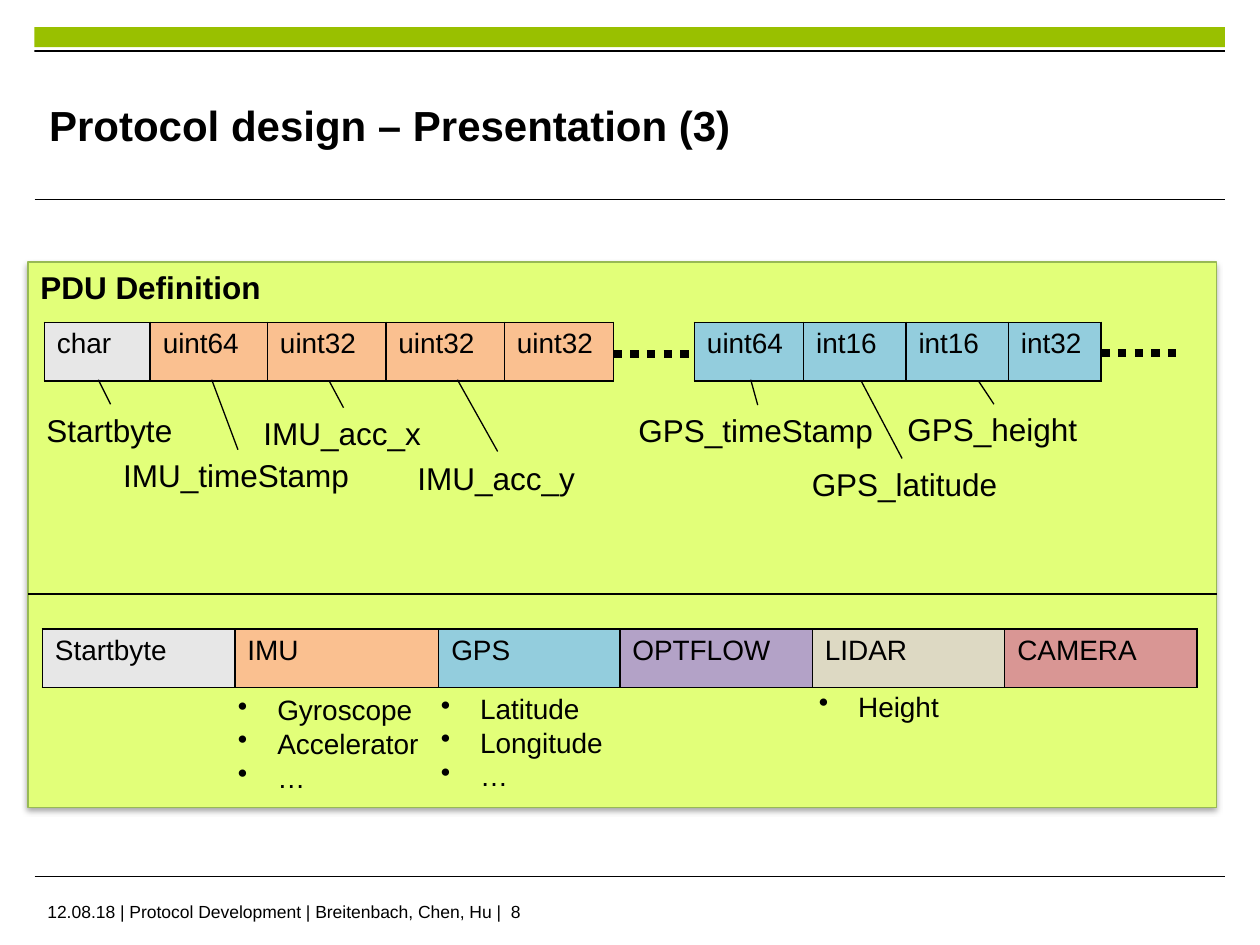
from lxml import etree
from pptx import Presentation
from pptx.dml.color import RGBColor
from pptx.enum.dml import MSO_LINE
from pptx.enum.shapes import MSO_CONNECTOR, MSO_SHAPE
from pptx.enum.text import MSO_ANCHOR, PP_ALIGN
from pptx.oxml import parse_xml
from pptx.oxml.ns import nsdecls, qn
from pptx.util import Pt

RECT = MSO_SHAPE.RECTANGLE
LINE = MSO_CONNECTOR.STRAIGHT
DOTS = MSO_LINE.ROUND_DOT
TOP, MIDDLE = MSO_ANCHOR.TOP, MSO_ANCHOR.MIDDLE
LEFT = PP_ALIGN.LEFT

BLACK, GREEN, LIME, OLIVE = "000000", "99C000", "E2FF79", "98B955"
GREY, ORANGE, BLUE = "E7E7E7", "FAC090", "93CDDD"
PURPLE, SAND, RED = "B3A2C7", "DDD9C3", "D99694"
ROW = 33.4

# Cells: text, width, fill
IMU = [("char", 60.5, GREY), ("uint64", 67, ORANGE), ("uint32", 67.7, ORANGE),
       ("uint32", 67.7, ORANGE), ("uint32", 62.4, ORANGE)]
GPS = [("uint64", 62.4, BLUE), ("int16", 58.5, BLUE),
       ("int16", 58.5, BLUE), ("int32", 53, BLUE)]
FRAME = [("Startbyte", 110, GREY), ("IMU", 116.5, ORANGE),
         ("GPS", 103.5, BLUE), ("OPTFLOW", 110, PURPLE),
         ("LIDAR", 110, SAND), ("CAMERA", 110, RED)]

# Labels: text, left, top, width, then leader from x, y to x, y
LABELS = [
    ("Startbyte", 19.4, 231.3, 87, (56.2, 217, 63.2, 231)),
    ("IMU_timeStamp", 63.3, 257, 145, (121, 217, 136, 257)),
    ("IMU_acc_x", 143.5, 233, 105, (188, 217.5, 196.3, 233)),
    ("IMU_acc_y", 231.5, 258.5, 105, (261.4, 217, 284.4, 258)),
    ("GPS_timeStamp", 357.8, 231.5, 150, (429, 217, 433, 231.5)),
    ("GPS_latitude", 456.8, 262, 122, (492, 217.5, 515.5, 262)),
    ("GPS_height", 511.4, 231, 112, (559, 217.5, 568, 231)),
]

# Bullet lists: left, top, width, items
LISTS = [
    (128.9, 392.4, 119, ["Gyroscope", "Accelerator", "…"]),
    (244.8, 391.7, 108, ["Latitude", "Longitude", "…"]),
    (460.8, 390.4, 83.5, ["Height"]),
]


def tint(code):
    return RGBColor.from_string(code)


def style(para, size, bold=False):
    para.alignment = LEFT
    font = para.font
    font.name, font.size, font.bold = "Arial", Pt(size), bold
    font.color.rgb = tint(BLACK)


def add_box(slide, x, y, w, h, fill, edge=None):
    box = slide.shapes.add_shape(RECT, Pt(x), Pt(y), Pt(w), Pt(h))
    box.shadow.inherit = False
    box.fill.solid()
    box.fill.fore_color.rgb = tint(fill)
    if edge:
        box.line.color.rgb = tint(edge)
        box.line.width = Pt(0.75)
    else:
        box.line.fill.background()
    return box


def add_line(slide, x1, y1, x2, y2, width=0.75, dash=None):
    line = slide.shapes.add_connector(LINE, Pt(x1), Pt(y1), Pt(x2), Pt(y2))
    line.line.color.rgb = tint(BLACK)
    line.line.width = Pt(width)
    if dash:
        line.line.dash_style = dash
    etree.SubElement(line._element.spPr, qn("a:effectLst"))


def add_text(slide, x, y, w, h, items, size, wrap=False, bullet=False):
    box = slide.shapes.add_textbox(Pt(x), Pt(y), Pt(w), Pt(h))
    frame = box.text_frame
    frame.word_wrap = wrap
    frame.text = "\n".join(items)
    for para in frame.paragraphs:
        style(para, size)
        if bullet:
            props = para._p.get_or_add_pPr()
            props.set("marL", str(Pt(22.5)))
            props.set("indent", str(-Pt(22.5)))
            props.insert_element_before(
                parse_xml(f'<a:buChar {nsdecls("a")} char="•"/>'),
                "a:tabLst", "a:defRPr", "a:extLst")


def add_row(slide, x, y, cells):
    total = sum(cell[1] for cell in cells)
    table = slide.shapes.add_table(
        1, len(cells), Pt(x), Pt(y), Pt(total), Pt(ROW)).table
    table.first_row = table.horz_banding = False
    for col, (text, width, fill) in enumerate(cells):
        table.columns[col].width = Pt(width)
        cell = table.cell(0, col)
        cell.text = text
        style(cell.text_frame.paragraphs[0], 16)
        cell.fill.solid()
        cell.fill.fore_color.rgb = tint(fill)
        props = cell._tc.get_or_add_tcPr()
        for spot, side in enumerate("LRTB"):
            props.insert(spot, parse_xml(
                f'<a:ln{side} {nsdecls("a")} w="{Pt(1)}"><a:solidFill>'
                f'<a:srgbClr val="{BLACK}"/></a:solidFill></a:ln{side}>'))


def add_title(slide, text):
    title = slide.shapes.title
    title.left, title.top = Pt(28.1), Pt(38.2)
    title.width, title.height = Pt(522.7), Pt(66.2)
    frame = title.text_frame
    frame.margin_left = frame.margin_right = 0
    frame.margin_top = frame.margin_bottom = 0
    frame.vertical_anchor = MIDDLE
    frame.text = text
    style(frame.paragraphs[0], 24, True)


def add_panel(slide, text):
    panel = add_box(slide, 16, 149.8, 679, 311.8, LIME, OLIVE)
    shade = panel._element.spPr.find(qn("a:effectLst"))
    shade.append(parse_xml(
        f'<a:outerShdw {nsdecls("a")} blurRad="{Pt(3.1)}" dist="{Pt(1.8)}" '
        f'dir="5400000" rotWithShape="0"><a:srgbClr val="{BLACK}">'
        '<a:alpha val="35000"/></a:srgbClr></a:outerShdw>'))
    frame = panel.text_frame
    frame.vertical_anchor = TOP
    frame.text = text
    style(frame.paragraphs[0], 18, True)


def main():
    deck = Presentation()
    deck.slide_width, deck.slide_height = Pt(720), Pt(540)
    slide = deck.slides.add_slide(deck.slide_layouts[5])

    # Header and footer
    add_box(slide, 19.7, 15.5, 680.3, 11.5, GREEN)
    add_box(slide, 19.7, 28.7, 680.3, 1, BLACK)
    for y in (114.2, 500.6):
        add_line(slide, 19.8, y, 700.2, y, 0.6)
    add_title(slide, "Protocol design – Presentation (3)")
    add_text(slide, 20, 511.2, 584, 18,
             ["12.08.18 | Protocol Development | Breitenbach, Chen, Hu |  8"],
             10, wrap=True)

    # Panel with its divider
    add_panel(slide, "PDU Definition")
    add_line(slide, 16, 339.4, 695.3, 339.4, 1.5)

    # Field types, labels and leaders
    add_row(slide, 25.3, 184.2, IMU)
    add_row(slide, 396.8, 184.2, GPS)
    for x, y in ((350.6, 202.2), (629.3, 201.6)):
        add_line(slide, x, y, x + 46, y, 4.75, DOTS)
    for text, x, y, w, leader in LABELS:
        add_text(slide, x, y, w, 29, [text], 18)
        add_line(slide, *leader)

    # Sensor blocks and their contents
    add_row(slide, 24.2, 359.4, FRAME)
    for x, y, w, items in LISTS:
        add_text(slide, x, y, w, 7.2 + 19.4 * len(items), items, 16,
                 bullet=True)

    deck.save("out.pptx")


if __name__ == "__main__":
    main()
